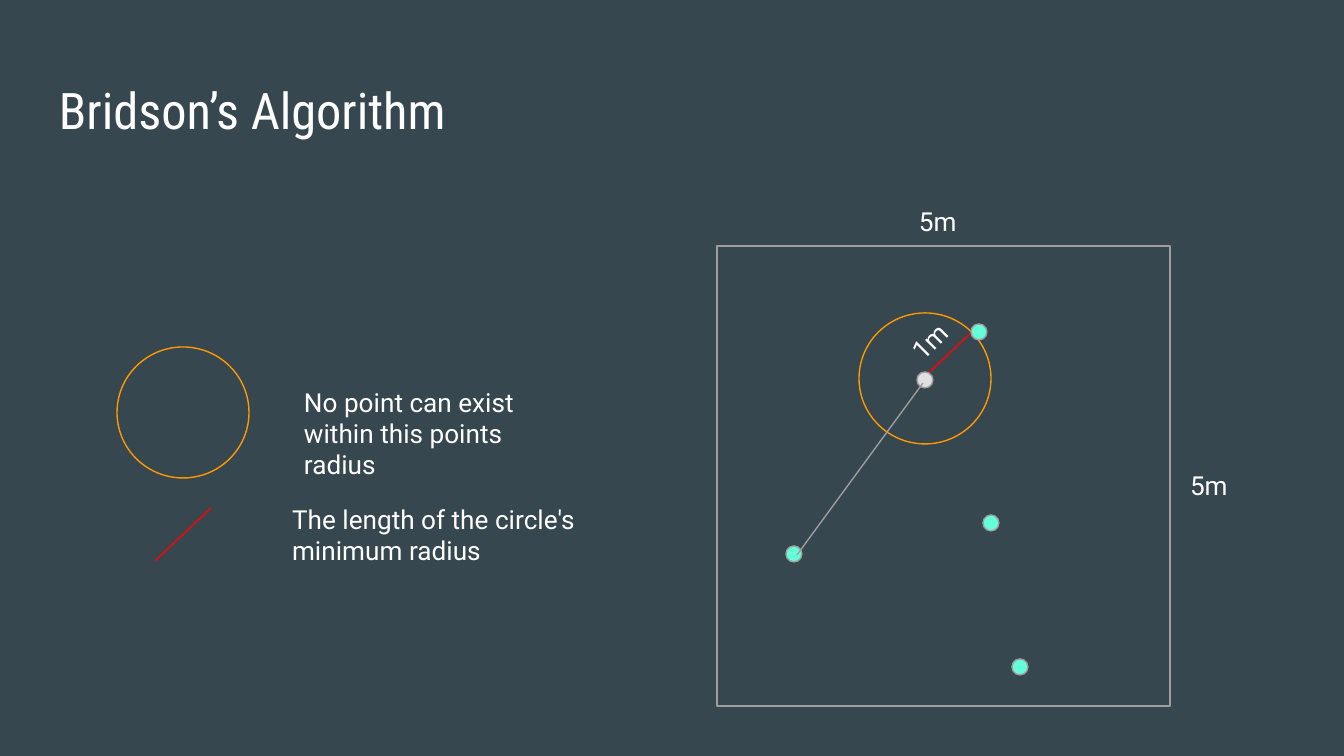
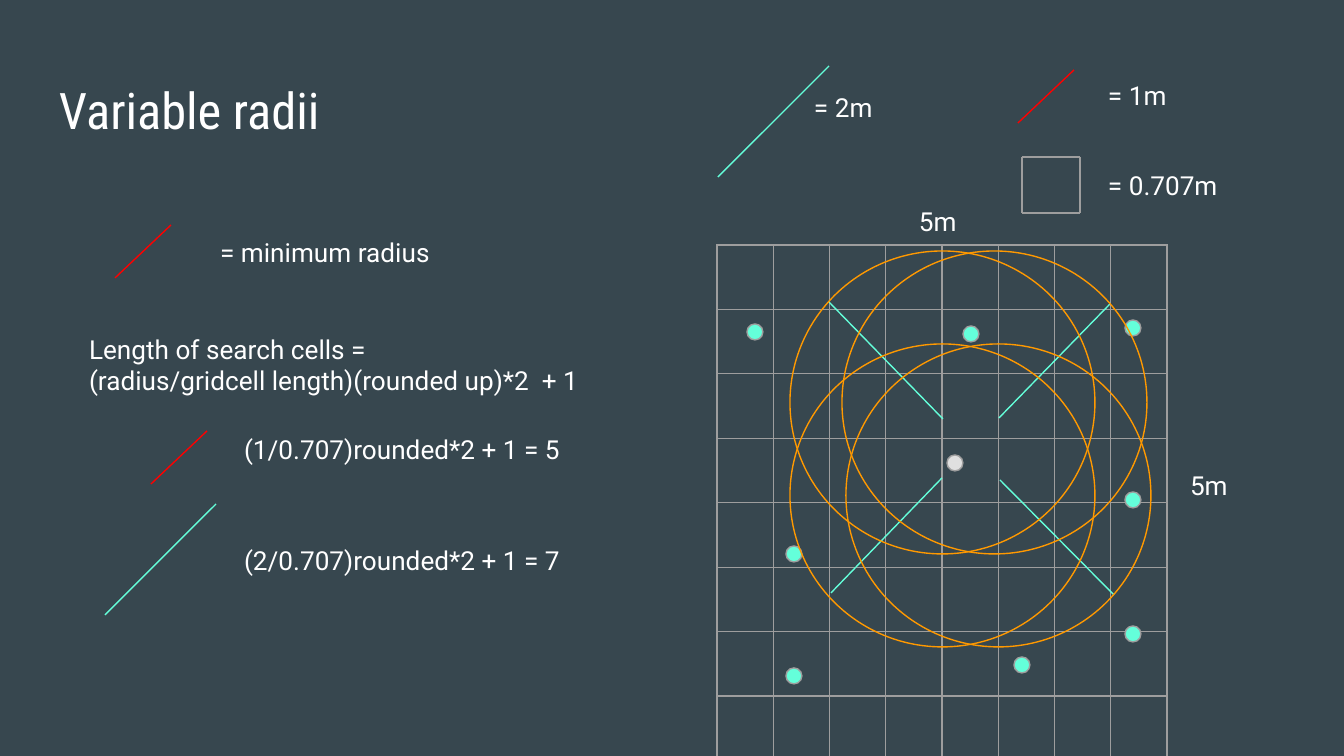
from lxml.etree import SubElement
from pptx import Presentation
from pptx.dml.color import RGBColor
from pptx.enum.shapes import MSO_CONNECTOR, MSO_SHAPE
from pptx.enum.text import MSO_ANCHOR, PP_ALIGN
from pptx.oxml import parse_xml
from pptx.oxml.ns import nsdecls, qn
from pptx.util import Emu, Pt

COLORS = {
    "background": "37474F",
    "text": "FFFFFF",
    "grid": "9E9E9E",
    "circle": "FF9900",
    "minimum": "FF0000",
    "accent": "64FFDA",
    "candidate": "E0E0E0",
}
EMU_PER_PX = 914400 / 134.4
LINE_WIDTH = Pt(0.75)
INSET = 13
DOT = 16


def px(length):
    """Turn pixels into EMU."""
    return Emu(round(length * EMU_PER_PX))


def color(name):
    """Look up a palette colour."""
    return RGBColor.from_string(COLORS[name])


def write(shape, text, size=14, font="Roboto", fill="text"):
    """Put formatted text into a shape's frame."""
    frame = shape.text_frame
    frame.word_wrap = True
    frame.vertical_anchor = MSO_ANCHOR.TOP
    frame.margin_left = frame.margin_right = px(INSET)
    frame.margin_top = frame.margin_bottom = px(INSET)
    para = frame.paragraphs[0]
    para.text = text
    para.alignment = PP_ALIGN.LEFT
    for span in para.runs:
        span.font.size = Pt(size)
        span.font.name = font
        span.font.color.rgb = color(fill)


def add_page(deck, title):
    """Add a dark page with its title."""
    page = deck.slides.add_slide(deck.slide_layouts[5])
    page.background.fill.solid()
    page.background.fill.fore_color.rgb = color("background")
    box = page.shapes.title
    box.left, box.top, box.width, box.height = map(px, (46, 66, 1253, 85))
    write(box, title, size=27, font="Roboto Condensed")
    return page


def add_label(page, text, left, top, width, height=59, rotation=0):
    """Add a text label."""
    box = page.shapes.add_textbox(px(left), px(top), px(width), px(height))
    box.rotation = rotation
    write(box, text)


def add_outline(page, kind, left, top, width, height, line="grid", fill=None):
    """Add a thin-lined shape, hollow unless a fill is named."""
    shape = page.shapes.add_shape(kind, px(left), px(top), px(width), px(height))
    shape.shadow.inherit = False
    shape.line.width = LINE_WIDTH
    shape.line.color.rgb = color(line)
    if fill:
        shape.fill.solid()
        shape.fill.fore_color.rgb = color(fill)
    else:
        shape.fill.background()


def add_circle(page, left, top, width, height):
    """Add an exclusion circle."""
    add_outline(page, MSO_SHAPE.OVAL, left, top, width, height, line="circle")


def add_dot(page, x, y, fill="accent"):
    """Add a sample point centred on x, y."""
    add_outline(page, MSO_SHAPE.OVAL, x - DOT // 2, y - DOT // 2, DOT, DOT, fill=fill)


def add_line(page, x1, y1, x2, y2, line="grid"):
    """Add a straight thin line."""
    connector = page.shapes.add_connector(
        MSO_CONNECTOR.STRAIGHT, px(x1), px(y1), px(x2), px(y2))
    connector.line.width = LINE_WIDTH
    connector.line.color.rgb = color(line)
    SubElement(connector._element.spPr, qn("a:effectLst"))


def add_minimum_radius(page, x, y):
    """Add the red key line rising from x, y."""
    add_line(page, x, y, x + 56, y - 53, "minimum")


def add_double_radius(page, x, y):
    """Add the teal key line rising from x, y."""
    add_line(page, x, y, x + 111, y - 111, "accent")


def add_side_lengths(page):
    """Label the top and right sides of the area."""
    for left, top in ((906, 192), (1177, 456)):
        add_label(page, "5m", left, top, 66, 90)


def border_cell(cell):
    """Make a cell hollow with thin borders."""
    cell.fill.background()
    cell.margin_top = cell.margin_bottom = 0
    properties = cell._tc.get_or_add_tcPr()
    for index, side in enumerate("LRTB"):
        properties.insert(index, parse_xml(
            f'<a:ln{side} {nsdecls("a")} w="{LINE_WIDTH}"><a:solidFill>'
            f'<a:srgbClr val="{COLORS["grid"]}"/></a:solidFill></a:ln{side}>'))


def add_grid(page, left, top, width, height, count):
    """Add a square table of empty bordered cells."""
    table = page.shapes.add_table(
        count, count, px(left), px(top), px(width), px(height)).table
    table.first_row = table.horz_banding = False
    for cell in table.iter_cells():
        border_cell(cell)


def add_key_cell(page, left, top, right, bottom):
    """Draw one grid cell from four lines."""
    corners = ((left, top), (right, top), (right, bottom), (left, bottom))
    for start, end in zip(corners, corners[1:] + corners[:1]):
        add_line(page, *start, *end)


def build_algorithm(deck):
    """Build the page on the basic algorithm."""
    page = add_page(deck, "Bridson’s Algorithm")
    add_outline(page, MSO_SHAPE.RECTANGLE, 717, 246, 453, 460)
    add_circle(page, 859, 313, 132, 131)
    add_line(page, 922, 379, 972, 332, "minimum")
    add_dot(page, 925, 380, "candidate")
    add_side_lengths(page)

    add_circle(page, 117, 347, 132, 131)
    add_label(page, "No point can exist within this points radius", 291, 373, 296, 90)
    add_minimum_radius(page, 155, 561)
    add_label(page, "The length of the circle's minimum radius", 279, 490, 355, 90)

    for x, y in ((991, 523), (794, 554), (1020, 667), (979, 332)):
        add_dot(page, x, y)
    add_label(page, "1m", 894, 303, 90, rotation=315)
    add_line(page, 797, 555, 923, 383)


def build_radii(deck):
    """Build the page on variable radii."""
    page = add_page(deck, "Variable radii")
    add_grid(page, 717, 245, 450, 516, 8)
    add_side_lengths(page)
    points = ((1133, 500), (794, 554), (1022, 665), (971, 334),
              (1133, 328), (794, 676), (1133, 634), (755, 332))
    for x, y in points:
        add_dot(page, x, y)
    add_dot(page, 955, 463, "candidate")

    for x, y in ((1018, 123), (115, 278), (151, 484)):
        add_minimum_radius(page, x, y)
    for x, y in ((718, 177), (105, 615)):
        add_double_radius(page, x, y)
    add_key_cell(page, 1022, 157, 1080, 213)

    labels = (
        ("= minimum radius", 207, 223, 284),
        ("= 2m", 801, 78, 187),
        ("= 1m", 1095, 66, 187),
        ("= 0.707m", 1095, 156, 187),
        ("(1/0.707)rounded*2 + 1 = 5", 231, 420, 453),
        ("(2/0.707)rounded*2 + 1 = 7", 231, 531, 453),
    )
    for text, left, top, width in labels:
        add_label(page, text, left, top, width)
    add_label(page, "Length of search cells =\v(radius/gridcell length)(rounded up)*2  + 1",
              76, 320, 609, 90)

    spokes = ((831, 593, 942, 478), (999, 418, 1110, 304),
              (1000, 480, 1114, 595), (829, 302, 943, 419))
    for spoke in spokes:
        add_line(page, *spoke, "accent")
    for left, top in ((790, 251), (842, 251), (846, 344), (790, 344)):
        add_circle(page, left, top, 305, 303)


def main():
    """Build and save the deck."""
    deck = Presentation()
    deck.slide_width, deck.slide_height = px(1344), px(756)
    build_algorithm(deck)
    build_radii(deck)
    deck.save("out.pptx")


if __name__ == "__main__":
    main()
